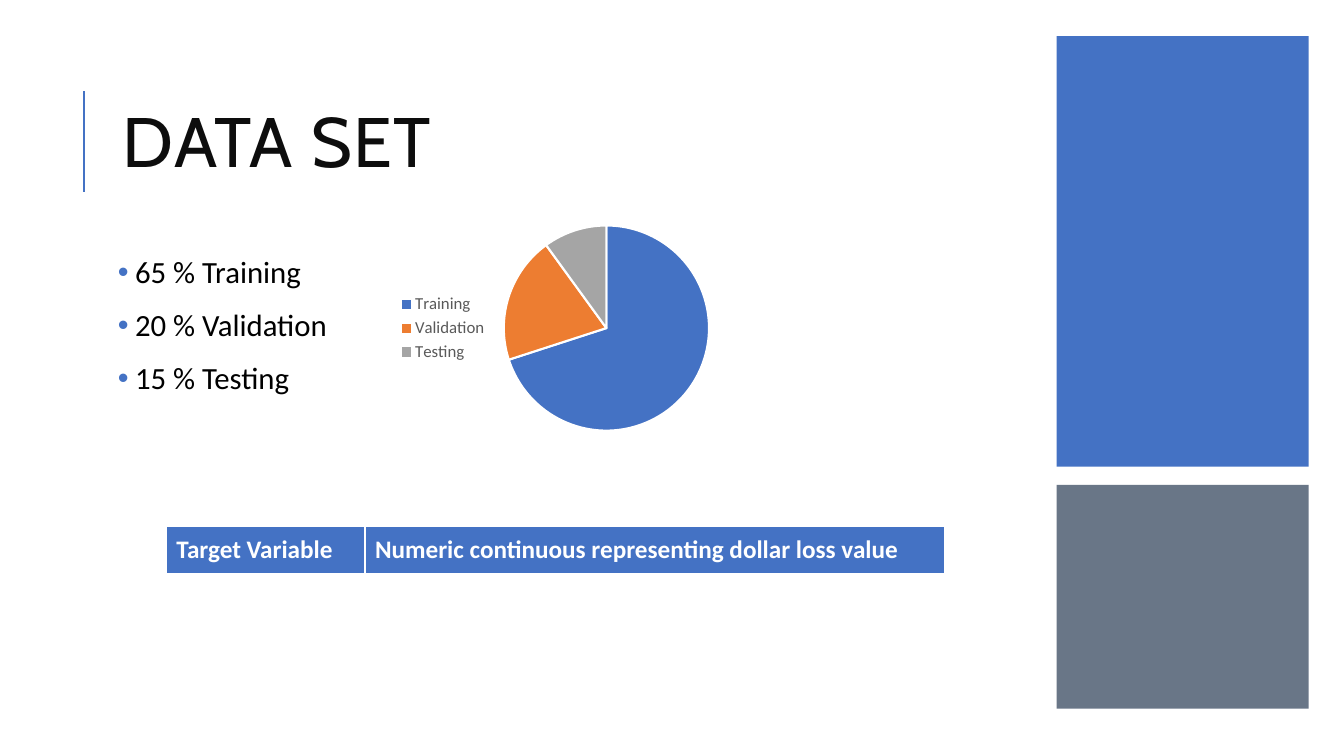
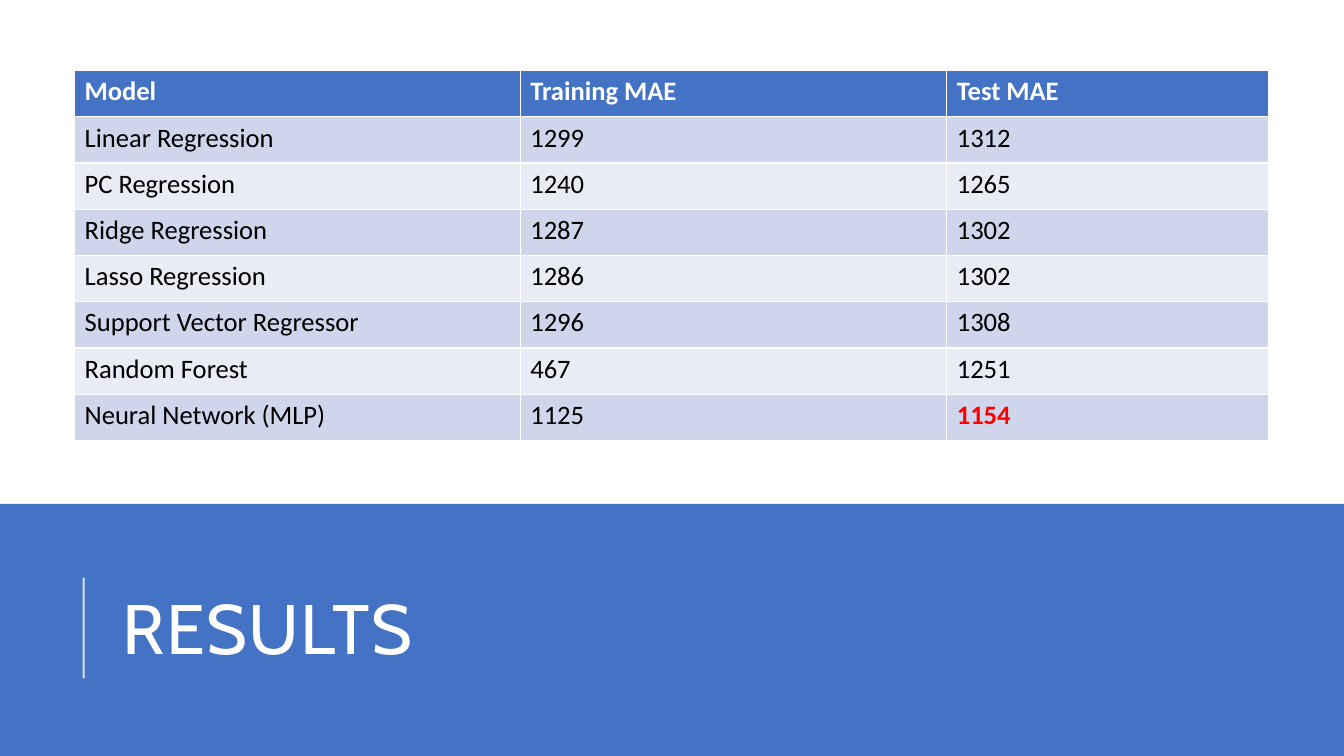
import pptx
import pptx.chart.data
import pptx.dml.color
import pptx.enum.chart
import pptx.enum.shapes
import pptx.enum.text
import pptx.oxml
import pptx.oxml.ns
import pptx.util

Inches = pptx.util.Inches
Pt = pptx.util.Pt
RGBColor = pptx.dml.color.RGBColor
qn = pptx.oxml.ns.qn
Middle = pptx.enum.text.MSO_ANCHOR.MIDDLE

BLUE = RGBColor(0x44, 0x72, 0xC4)
SLATE = RGBColor(0x44, 0x54, 0x6A)
ORANGE = RGBColor(0xED, 0x7D, 0x31)
SILVER = RGBColor(0xA5, 0xA5, 0xA5)
GREY = RGBColor(0x59, 0x59, 0x59)
INK = RGBColor(0x0D, 0x0D, 0x0D)
BLACK = RGBColor(0, 0, 0)
WHITE = RGBColor(0xFF, 0xFF, 0xFF)
RED = RGBColor(0xFF, 0, 0)
BANDS = (RGBColor(0xE9, 0xEB, 0xF5), RGBColor(0xCF, 0xD5, 0xEA))
HEAD = "Cabin"
BODY = "Calibri"

SHARES = (("Training", 70, BLUE), ("Validation", 20, ORANGE), ("Testing", 10, SILVER))
SPLITS = ("65 % Training", "20 % Validation", "15 % Testing")
TARGET = (("Target Variable", "Numeric continuous representing dollar loss value"),)
SCORES = (
    ("Model", "Training MAE", "Test MAE"),
    ("Linear Regression", "1299", "1312"),
    ("PC Regression", "1240", "1265"),
    ("Ridge Regression", "1287", "1302"),
    ("Lasso Regression", "1286", "1302"),
    ("Support Vector Regressor", "1296", "1308"),
    ("Random Forest", "467", "1251"),
    ("Neural Network (MLP)", "1125", "1154"),
)
BEST = "1154"


def add_run(para, text, size, color, face=BODY, bold=False):
    """Add one styled run to a paragraph and return it."""
    run = para.add_run()
    run.text = text
    run.font.name = face
    run.font.size = Pt(size)
    run.font.bold = bold
    run.font.color.rgb = color
    return run


def fade(fill, share):
    """Set the opacity, in percent, of a solid fill's colour."""
    color = fill.find(".//" + qn("a:srgbClr"))
    alpha = color.makeelement(qn("a:alpha"), {"val": str(share * 1000)})
    color.append(alpha)


def add_block(slide, box, color, share=100):
    """Draw a plain filled rectangle in the box."""
    kind = pptx.enum.shapes.MSO_SHAPE.RECTANGLE
    block = slide.shapes.add_shape(kind, *map(Inches, box))
    block.shadow.inherit = False
    block.fill.solid()
    block.fill.fore_color.rgb = color
    block.line.fill.background()
    if share < 100:
        fade(block._element.spPr, share)


def add_title(slide, box, text, color, rule, share=100):
    """Place a title in the box with an upright rule to its left."""
    left, top, width, height = box
    frame = slide.shapes.add_textbox(*map(Inches, box)).text_frame
    frame.word_wrap = True
    frame.vertical_anchor = Middle
    para = frame.paragraphs[0]
    para.line_spacing = 0.8
    run = add_run(para, text, 50, color, HEAD)
    run._r.get_or_add_rPr().set("spc", "100")

    side, mid = Inches(left - 0.29), top + height / 2 - 0.06
    kind = pptx.enum.shapes.MSO_CONNECTOR.STRAIGHT
    line = slide.shapes.add_connector(kind, side, Inches(mid + 0.5), side, Inches(mid - 0.5))
    line.line.color.rgb = rule
    line.line.width = Pt(1.5)
    props = line._element.spPr
    if share < 100:
        fade(props, share)
    props.append(props.makeelement(qn("a:effectLst"), {}))


def add_list(slide, box, items):
    """Place a bulleted list in the box."""
    frame = slide.shapes.add_textbox(*map(Inches, box)).text_frame
    frame.word_wrap = True
    frame.margin_left = frame.margin_right = Inches(0.05)
    for row, item in enumerate(items):
        para = frame.add_paragraph() if row else frame.paragraphs[0]
        para.line_spacing = 0.9
        para.space_before = Pt(12)
        para.space_after = Pt(2)
        props = para._p.get_or_add_pPr()
        props.set("marL", str(Inches(0.17)))
        props.set("indent", str(Inches(-0.17)))
        tint = props.makeelement(qn("a:buClr"), {})
        tint.append(tint.makeelement(qn("a:srgbClr"), {"val": str(BLUE)}))
        props.append(tint)
        props.append(props.makeelement(qn("a:buFont"), {"typeface": "Arial"}))
        props.append(props.makeelement(qn("a:buChar"), {"char": "•"}))
        add_run(para, item, 22, BLACK)


def add_pie(slide, box, shares):
    """Draw a pie of named shares in the box, with its legend at the left."""
    names, values, colors = zip(*shares)
    data = pptx.chart.data.CategoryChartData()
    data.categories = names
    data.add_series("Series 1", values)
    kind = pptx.enum.chart.XL_CHART_TYPE.PIE
    chart = slide.shapes.add_chart(kind, *map(Inches, box), data).chart
    chart.has_title = False
    chart.font.name = BODY
    chart.font.size = Pt(10)
    chart.has_legend = True
    legend = chart.legend
    legend.position = pptx.enum.chart.XL_LEGEND_POSITION.LEFT
    legend.include_in_layout = False
    legend.font.name = BODY
    legend.font.size = Pt(12)
    legend.font.color.rgb = GREY
    plot = chart.plots[0]
    plot.vary_by_categories = True
    for place, color in enumerate(colors):
        part = plot.series[0].points[place].format
        part.fill.solid()
        part.fill.fore_color.rgb = color
        part.line.color.rgb = WHITE
        part.line.width = Pt(1.5)


def add_grid(slide, box, widths, rows, size, anchor=None):
    """Draw a table with a blue head row and banded body rows."""
    shape = slide.shapes.add_table(len(rows), len(widths), *map(Inches, box))
    table = shape.table
    for column, width in zip(table.columns, widths):
        column.width = Inches(width)
    for place, row in enumerate(rows):
        head = place == 0
        for cell, text in zip(table.rows[place].cells, row):
            cell.fill.solid()
            cell.fill.fore_color.rgb = BLUE if head else BANDS[place % 2]
            cell.vertical_anchor = anchor
            best = text == BEST
            color = WHITE if head else RED if best else BLACK
            add_run(cell.text_frame.paragraphs[0], text, size, color, bold=head or best)


def data_slide(slide):
    """Build the slide on the data set."""
    add_title(slide, (1.12, 0.64, 8.77, 1.64), "DATA SET", INK, BLUE)
    add_list(slide, (1.12, 2.5, 8.77, 4.4), SPLITS)
    add_block(slide, (10.48, 0.36, 2.5, 4.27), BLUE)
    add_block(slide, (10.48, 4.81, 2.5, 2.22), SLATE, 80)
    add_pie(slide, (3.84, 1.9, 3.33, 2.71), SHARES)
    add_grid(slide, (1.65, 5.22, 7.72, 0.47), (1.97, 5.75), TARGET, 18, Middle)


def score_slide(slide):
    """Build the slide on the results."""
    add_block(slide, (0, 5, 13.33, 2.5), BLUE)
    add_title(slide, (1.12, 5.47, 10.63, 1.64), "RESULTS", WHITE, WHITE, 80)
    add_grid(slide, (0.74, 0.7, 11.84, 3.67), (4.42, 4.23, 3.19), SCORES, 19)


def main():
    """Build and save the deck."""
    deck = pptx.Presentation()
    deck.slide_width = Inches(13.33)
    deck.slide_height = Inches(7.5)
    for build in (data_slide, score_slide):
        build(deck.slides.add_slide(deck.slide_layouts[6]))
    deck.save("out.pptx")


if __name__ == "__main__":
    main()
